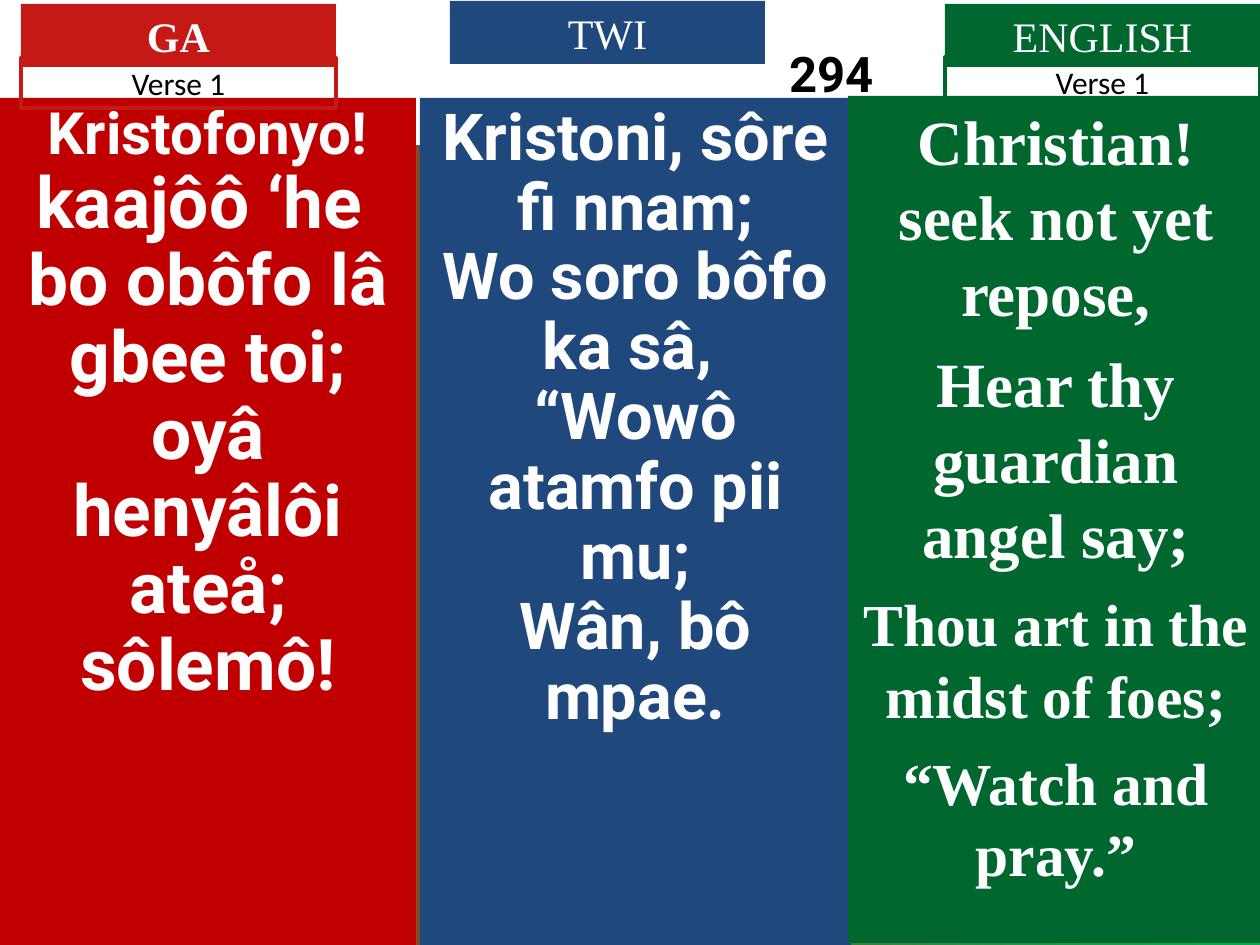
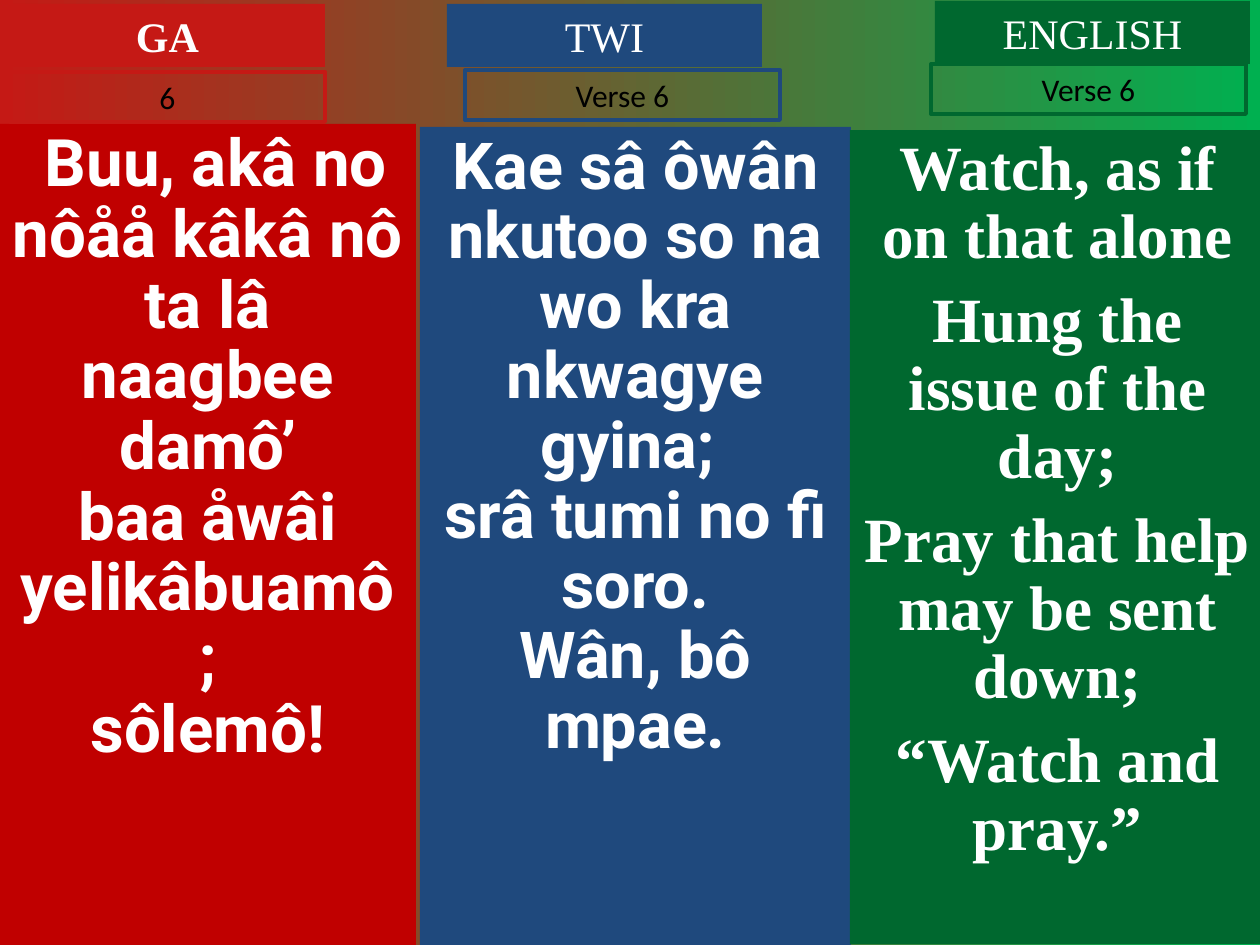
import pptx
import pptx.dml.color
import pptx.enum.shapes
import pptx.enum.text
import pptx.util

PX = 914400 / 126
WIDTH, HEIGHT = 1260, 945
HEADER_SIZE, VERSE_SIZE = (315, 63), (315, 50)
RED, GREEN = "C51915", "00B050"
SERIF, SANS = "Times New Roman", "Roboto"

LANGUAGES = {
    "GA": dict(panel="C00000", accent=RED, font=SANS, header_bold=True),
    "TWI": dict(panel="1F497D", accent="1F497D", font=SANS, header_bold=False),
    "ENGLISH": dict(panel="00682F", accent="00682F", font=SERIF, header_bold=False),
}

# Each lyric line is a list of (text, size) runs; boxes are left, top, width, height.
SLIDES = [
    dict(
        hymn_number="294",
        columns={
            "GA": dict(
                panel=(0, 98, 416, 847), header=(21, 4), verse=("Verse 1", 21, 58),
                spacing=0.9, gap=0,
                lyrics=[[("Kristofonyo! ", 33.3), ("kaajôô ‘he ", 40.7)],
                        [("bo obôfo lâ gbee toi;", 40.7)],
                        [("oyâ henyâlôi ateå;", 40.7)],
                        [("sôlemô!", 40.7)]]),
            "TWI": dict(
                panel=(420, 98, 431, 847), header=(450, 1), verse=None,
                spacing=0.9, gap=0,
                lyrics=[[("Kristoni, sôre fi nnam;", 37)],
                        [("Wo soro bôfo ka sâ, ", 37)],
                        [("“Wowô atamfo pii mu;", 37)],
                        [("Wân, bô mpae.", 37)]]),
            "ENGLISH": dict(
                panel=(848, 96, 416, 847), header=(945, 4), verse=("Verse 1", 945, 57),
                spacing=1.0, gap=9,
                lyrics=[[("Christian! seek not yet repose,", 36)],
                        [("Hear thy guardian angel say;", 36)],
                        [("Thou art in the midst of foes;", 34)],
                        [("“Watch and pray.”", 34)]]),
        }),
    dict(
        hymn_number=None,
        columns={
            "GA": dict(
                panel=(0, 124, 416, 821), header=(10, 4), verse=("6", 10, 72),
                spacing=0.9, gap=0,
                lyrics=[[(" Buu, akâ no nôåå kâkâ nô ta lâ naagbee damô’", 37.4)],
                        [("baa åwâi yelikâbuamô;", 37.4)],
                        [("sôlemô!", 37.4)]]),
            "TWI": dict(
                panel=(420, 127, 431, 818), header=(447, 4), verse=("Verse 6", 465, 70),
                spacing=0.9, gap=0,
                lyrics=[[("Kae sâ ôwân nkutoo so na wo kra nkwagye gyina; ", 37)],
                        [("srâ tumi no fi soro.", 37)],
                        [("Wân, bô mpae.", 37)]]),
            "ENGLISH": dict(
                panel=(850, 130, 415, 814), header=(935, 1), verse=("Verse 6", 931, 64),
                spacing=0.9, gap=9,
                lyrics=[[("Watch, as if on that alone", 36)],
                        [("Hung the issue of the day;", 36)],
                        [("Pray that help may be sent down;", 36)],
                        [("“Watch and pray.”", 36)]]),
        }),
]


def px(length):
    return pptx.util.Emu(round(length * PX))


def color(code):
    return pptx.dml.color.RGBColor.from_string(code)


def add_box(slide, box, lines, font, ink, bold, fill=None, border=None,
            spacing=1.0, gap=0):
    """Add a rectangle of centred lines, each a list of (text, size) runs."""
    shape = slide.shapes.add_shape(
        pptx.enum.shapes.MSO_SHAPE.RECTANGLE, *map(px, box))
    shape.shadow.inherit = False
    if fill:
        shape.fill.solid()
        shape.fill.fore_color.rgb = color(fill)
    else:
        shape.fill.background()
    if border:
        shape.line.color.rgb = color(border)
        shape.line.width = pptx.util.Pt(2.25)
    else:
        shape.line.fill.background()

    frame = shape.text_frame
    frame.word_wrap = True
    frame.vertical_anchor = pptx.enum.text.MSO_ANCHOR.TOP
    for index, line in enumerate(lines):
        paragraph = frame.add_paragraph() if index else frame.paragraphs[0]
        paragraph.alignment = pptx.enum.text.PP_ALIGN.CENTER
        paragraph.line_spacing = spacing
        paragraph.space_before = pptx.util.Pt(gap if index else 0)
        paragraph.font.name = font
        paragraph.font.bold = bold
        paragraph.font.color.rgb = color(ink)
        for text, size in line:
            run = paragraph.add_run()
            run.text = text
            run.font.size = pptx.util.Pt(size)
    return frame


def paint_background(slide):
    fill = slide.background.fill
    fill.gradient()
    fill.gradient_angle = 0
    for stop, code in zip(fill.gradient_stops, (RED, GREEN)):
        stop.color.rgb = color(code)


def add_hymn_number(slide, number):
    title = add_box(slide, (0, 0, WIDTH, 145), [[(number, 28)]], SANS,
                    "000000", True, fill="FFFFFF")
    title.vertical_anchor = pptx.enum.text.MSO_ANCHOR.MIDDLE
    title.margin_left = px(415)


def add_column(slide, language, column):
    style = LANGUAGES[language]
    add_box(slide, column["panel"], column["lyrics"], style["font"], "FFFFFF", True,
            fill=style["panel"], spacing=column["spacing"], gap=column["gap"])
    add_box(slide, column["header"] + HEADER_SIZE, [[(language, 24)]], SERIF,
            "FFFFFF", style["header_bold"], fill=style["accent"])
    if column["verse"]:
        label, left, top = column["verse"]
        add_box(slide, (left, top) + VERSE_SIZE, [[(label, 18)]], "Calibri",
                "000000", False, border=style["accent"])


def main():
    deck = pptx.Presentation()
    deck.slide_width, deck.slide_height = px(WIDTH), px(HEIGHT)
    for content in SLIDES:
        slide = deck.slides.add_slide(deck.slide_layouts[6])
        paint_background(slide)
        if content["hymn_number"]:
            add_hymn_number(slide, content["hymn_number"])
        for language, column in content["columns"].items():
            add_column(slide, language, column)
    deck.save("out.pptx")


if __name__ == "__main__":
    main()
